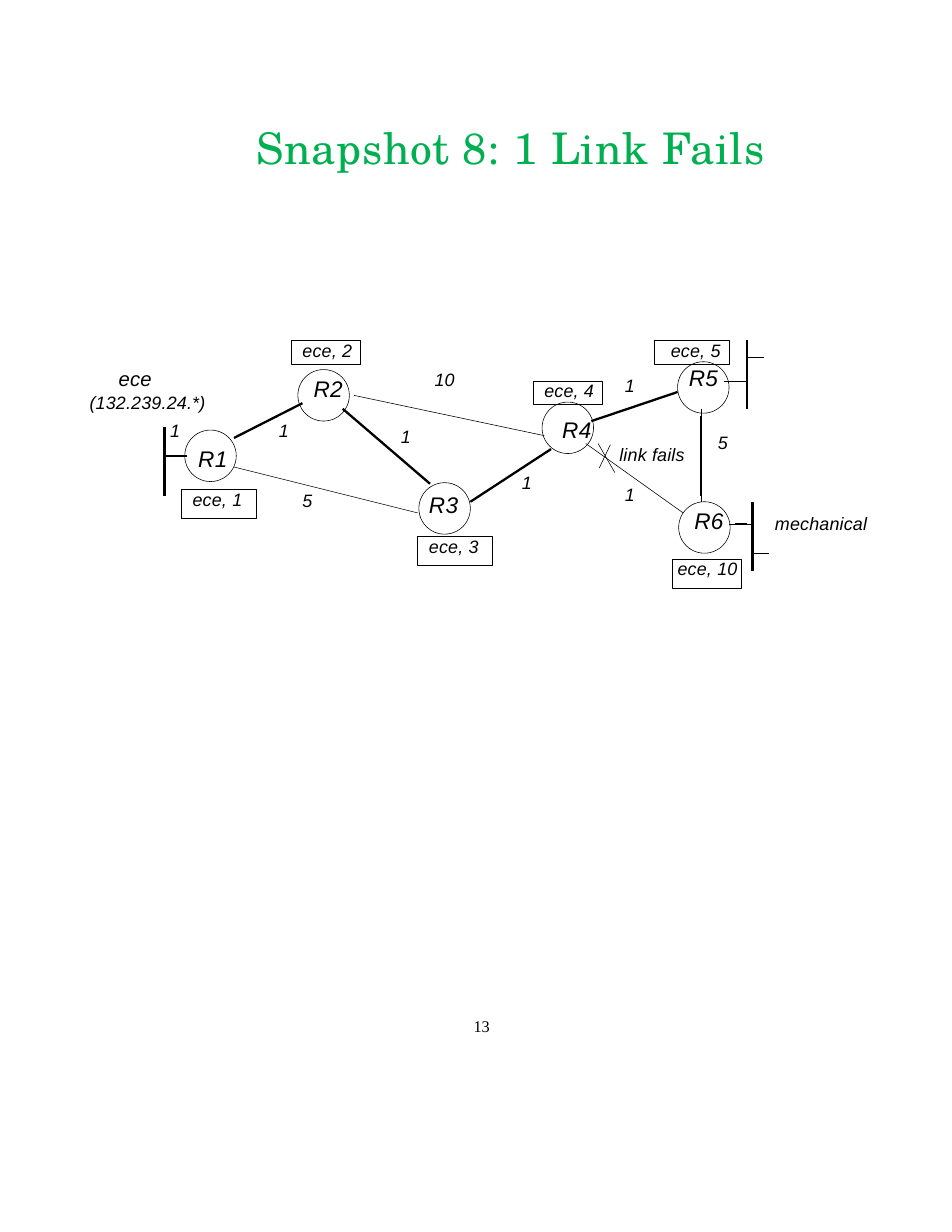
from lxml import etree
from pptx import Presentation
from pptx.dml.color import RGBColor
from pptx.enum.shapes import MSO_CONNECTOR, MSO_SHAPE
from pptx.enum.text import MSO_ANCHOR, PP_ALIGN
from pptx.oxml.ns import qn
from pptx.util import Inches, Pt

STRAIGHT = MSO_CONNECTOR.STRAIGHT
OVAL, RECTANGLE = MSO_SHAPE.OVAL, MSO_SHAPE.RECTANGLE
TOP = MSO_ANCHOR.TOP
LEFT, CENTER = PP_ALIGN.LEFT, PP_ALIGN.CENTER

THEME = {
    "ink": RGBColor(0, 0, 0), "title": RGBColor(0x00, 0xB0, 0x50),
    "font": "Arial", "title_font": "TeX Gyre Schola", "page_font": "Times New Roman",
    "title_size": 28, "router_size": 14.5, "network_size": 13,
    "label_size": 11.5, "page_size": 10.5,
    "thin": 0.37, "thick": 1.48,
}

TITLE = "Snapshot 8: 1 Link Fails"
PAGE_NUMBER = "13"
DIAMETER = 0.46

# name: circle left and top, name left and top
ROUTERS = {
    "R1": (1.65, 3.84, 1.76, 3.97),
    "R2": (2.66, 3.30, 2.79, 3.35),
    "R3": (3.74, 4.31, 3.82, 4.38),
    "R4": (4.84, 3.59, 5.01, 3.71),
    "R5": (6.05, 3.23, 6.14, 3.25),
    "R6": (6.06, 4.48, 6.19, 4.53),
}
# text, left, top, width, height, text indent
ROUTES = [
    ("ece, 1", 1.62, 4.37, 0.67, 0.26, 0.10),
    ("ece, 2", 2.60, 3.04, 0.62, 0.21, 0.10),
    ("ece, 3", 3.73, 4.79, 0.67, 0.26, 0.10),
    ("ece, 4", 4.76, 3.40, 0.62, 0.21, 0.10),
    ("ece, 5", 5.84, 3.04, 0.67, 0.21, 0.15),
    ("ece, 10", 6.00, 4.99, 0.62, 0.26, 0.05),
]
# start x and y, end x and y
THIN_LINES = [
    (2.09, 4.17, 3.73, 4.58),  # R1 to R3
    (3.16, 3.53, 4.86, 3.89),  # R2 to R4
    (5.23, 3.96, 6.10, 4.58),  # R4 to R6, the failed link
    (5.34, 3.96, 5.49, 4.22),  # failure cross
    (5.45, 3.97, 5.35, 4.18),
    (6.26, 3.65, 6.26, 4.48),  # R5 to R6, ends of the link
    (6.46, 3.40, 6.67, 3.40),  # R5 to its network
    (6.67, 3.19, 6.82, 3.19),
    (6.51, 4.68, 6.72, 4.68),  # R6 to its network
    (6.72, 4.94, 6.87, 4.94),
]
THICK_LINES = [
    (2.09, 3.91, 2.70, 3.60),  # R1 to R2
    (3.06, 3.65, 3.84, 4.32),  # R2 to R3
    (4.20, 4.48, 4.92, 4.01),  # R3 to R4
    (5.28, 3.76, 6.05, 3.50),  # R4 to R5
    (6.26, 3.71, 6.26, 4.43),  # R5 to R6
    (1.47, 4.07, 1.67, 4.07),  # R1 to its network
    (6.56, 4.68, 6.67, 4.68),  # R6 to its network
    (1.47, 3.81, 1.47, 4.43),  # network bars
    (6.67, 3.04, 6.67, 3.65),
    (6.72, 4.48, 6.72, 5.10),
]
# text, left, top, width
LABELS = [
    ("1", 1.51, 3.75, 0.12), ("1", 2.48, 3.75, 0.12), ("1", 3.57, 3.80, 0.12),
    ("1", 4.65, 4.21, 0.12), ("1", 5.57, 3.34, 0.12), ("1", 5.57, 4.32, 0.12),
    ("5", 2.69, 4.37, 0.12), ("5", 6.40, 3.85, 0.12), ("10", 3.87, 3.29, 0.21),
    ("link fails", 5.52, 3.96, 0.61), ("mechanical", 6.91, 4.58, 0.86),
]


def write(para, text, size, font=THEME["font"], color=THEME["ink"],
          italic=True, tracking=0.1, indent=0.01):
    """Fill one paragraph; tracking is in points, indent in inches."""
    para.text = text
    properties = para._p.get_or_add_pPr()
    properties.set("marL", str(Inches(indent)))
    properties.set("indent", "0")
    for span in para.runs:
        span.font.name, span.font.size = font, Pt(size)
        span.font.italic, span.font.color.rgb = italic, color
        span._r.get_or_add_rPr().set("spc", str(round(tracking * 100)))


def clear_margins(frame):
    frame.margin_left = frame.margin_right = frame.margin_top = frame.margin_bottom = 0
    frame.vertical_anchor = TOP


def add_label(slide, left, top, width, height):
    """Add an empty text box and return its frame."""
    box = slide.shapes.add_textbox(*map(Inches, (left, top, width, height)))
    clear_margins(box.text_frame)
    return box.text_frame


def add_outline(slide, kind, *place):
    shape = slide.shapes.add_shape(kind, *map(Inches, place))
    shape.shadow.inherit = False
    shape.fill.background()
    shape.line.color.rgb = THEME["ink"]
    shape.line.width = Pt(THEME["thin"])
    return shape


def add_line(slide, ends, width):
    line = slide.shapes.add_connector(STRAIGHT, *map(Inches, ends))
    line.line.color.rgb = THEME["ink"]
    line.line.width = Pt(width)
    etree.SubElement(line._element.spPr, qn("a:effectLst"))


def main():
    deck = Presentation()
    deck.slide_width, deck.slide_height = Inches(8.5), Inches(11)
    slide = deck.slides.add_slide(deck.slide_layouts[5])

    title = slide.shapes.title
    title.left, title.top = Inches(1.5), Inches(1.08)
    title.width, title.height = Inches(6.11), Inches(0.47)
    clear_margins(title.text_frame)
    heading = title.text_frame.paragraphs[0]
    write(heading, TITLE, THEME["title_size"], THEME["title_font"],
          THEME["title"], italic=False, tracking=0.5)
    heading.alignment = CENTER

    for left, top, _, _ in ROUTERS.values():
        add_outline(slide, OVAL, left, top, DIAMETER, DIAMETER)
    for lines, width in ((THIN_LINES, "thin"), (THICK_LINES, "thick")):
        for ends in lines:
            add_line(slide, ends, THEME[width])

    for text, left, top, width, height, indent in ROUTES:
        box = add_outline(slide, RECTANGLE, left, top, width, height)
        clear_margins(box.text_frame)
        box.text_frame.word_wrap = False
        para = box.text_frame.paragraphs[0]
        write(para, text, THEME["label_size"], indent=indent)
        para.alignment, para.line_spacing = LEFT, Pt(13.2)

    for name, (_, _, left, top) in ROUTERS.items():
        frame = add_label(slide, left, top, 0.29, 0.26)
        write(frame.paragraphs[0], name, THEME["router_size"], tracking=0.2)
    for text, left, top, width in LABELS:
        frame = add_label(slide, left, top, width, 0.21)
        write(frame.paragraphs[0], text, THEME["label_size"])

    network = add_label(slide, 0.79, 3.27, 1.07, 0.44)
    write(network.paragraphs[0], "ece", THEME["network_size"], indent=0.27)
    address = network.add_paragraph()
    write(address, "(132.239.24.*)", THEME["label_size"])
    address.space_before = Pt(0.7)

    page = add_label(slide, 4.2, 9.07, 0.2, 0.18)
    write(page.paragraphs[0], PAGE_NUMBER, THEME["page_size"], THEME["page_font"],
          italic=False, tracking=-0.1, indent=0.03)

    deck.save("out.pptx")


if __name__ == "__main__":
    main()
